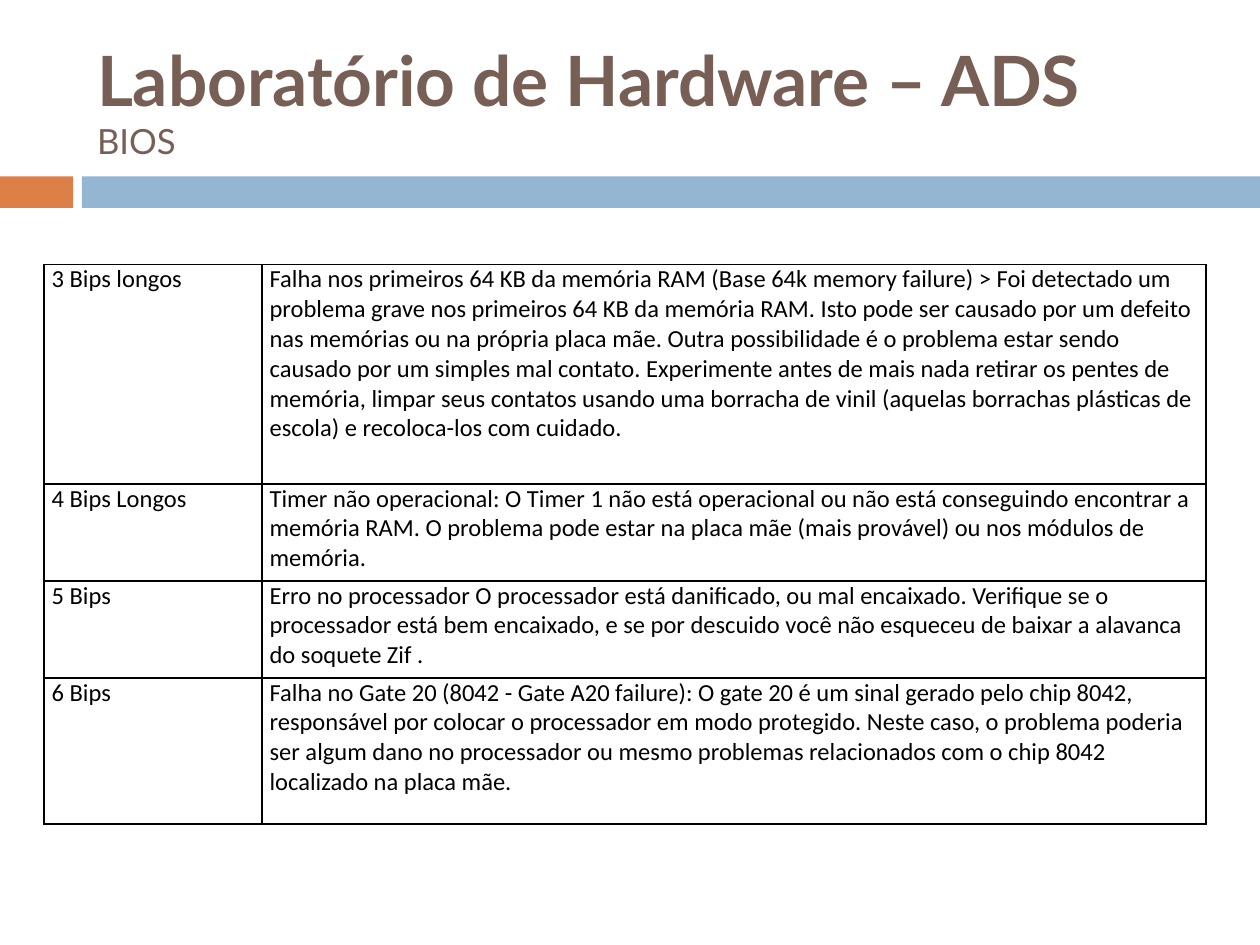
from pptx import Presentation
from pptx.dml.color import RGBColor
from pptx.enum.shapes import MSO_SHAPE
from pptx.enum.text import MSO_ANCHOR, MSO_AUTO_SIZE, PP_ALIGN
from pptx.oxml import parse_xml
from pptx.oxml.ns import nsdecls
from pptx.util import Inches, Pt

BEEPS = [
    ("3 Bips longos", "Falha nos primeiros 64 KB da memória RAM (Base 64k memory failure) > "
     "Foi detectado um problema grave nos primeiros 64 KB da memória RAM. Isto pode ser causado "
     "por um defeito nas memórias ou na própria placa mãe. Outra possibilidade é o problema estar "
     "sendo causado por um simples mal contato. Experimente antes de mais nada retirar os pentes "
     "de memória, limpar seus contatos usando uma borracha de vinil (aquelas borrachas plásticas "
     "de escola) e recoloca-los com cuidado."),
    ("4 Bips Longos", "Timer não operacional: O Timer 1 não está operacional ou não está "
     "conseguindo encontrar a memória RAM. O problema pode estar na placa mãe (mais provável) ou "
     "nos módulos de memória."),
    ("5 Bips", "Erro no processador O processador está danificado, ou mal encaixado. Verifique se "
     "o processador está bem encaixado, e se por descuido você não esqueceu de baixar a alavanca "
     "do soquete Zif ."),
    ("6 Bips", "Falha no Gate 20 (8042 - Gate A20 failure): O gate 20 é um sinal gerado pelo chip "
     "8042, responsável por colocar o processador em modo protegido. Neste caso, o problema "
     "poderia ser algum dano no processador ou mesmo problemas relacionados com o chip 8042 "
     "localizado na placa mãe."),
]


def rgb(value):
    return RGBColor.from_string(value)


def add_text(p, text, size=14, font="Calibri", color="000000", bold=False):
    r = p.add_run()
    r.text = text
    r.font.size = Pt(size)
    r.font.name = font
    r.font.bold = bold
    r.font.color.rgb = rgb(color)


def add_title(s, box, heading, topic):
    sp = s.shapes.title
    sp.left, sp.top, sp.width, sp.height = map(Inches, box)
    tf = sp.text_frame
    tf.word_wrap = True
    tf.auto_size = MSO_AUTO_SIZE.NONE
    tf.vertical_anchor = MSO_ANCHOR.MIDDLE
    p = tf.paragraphs[0]
    p.alignment = PP_ALIGN.LEFT
    add_text(p, heading, size=39.6, font="Lato", color="775F55", bold=True)
    p.add_line_break()
    add_text(p, topic, size=19.8, font="Lato", color="775F55")


def add_band(s, box, split=0.58, gap=0.07):
    left, top, width, height = box
    start = split + gap
    for x, w, color in ((left, split, "DD8047"), (left + start, width - start, "94B6D2")):
        sp = s.shapes.add_shape(MSO_SHAPE.RECTANGLE, *map(Inches, (x, top, w, height)))
        sp.shadow.inherit = False
        sp.fill.solid()
        sp.fill.fore_color.rgb = rgb(color)
        sp.line.fill.background()


def add_borders(cell, color="000000", width=1):
    tc_pr = cell._tc.get_or_add_tcPr()
    for i, side in enumerate(("lnL", "lnR", "lnT", "lnB")):
        tc_pr.insert(i, parse_xml(
            f'<a:{side} {nsdecls("a")} w="{Pt(width)}"><a:solidFill>'
            f'<a:srgbClr val="{color}"/></a:solidFill></a:{side}>'))


def add_beep_table(s, box, columns, heights, rows):
    table = s.shapes.add_table(len(rows), len(columns), *map(Inches, box)).table
    table.first_row = table.horz_banding = False
    for column, width in zip(table.columns, columns):
        column.width = Inches(width)
    for row, height, texts in zip(table.rows, heights, rows):
        row.height = Inches(height)
        for cell, text in zip(row.cells, texts):
            cell.margin_left = cell.margin_right = Inches(0.06)
            cell.margin_top = cell.margin_bottom = 0
            cell.fill.background()
            add_borders(cell)
            add_text(cell.text_frame.paragraphs[0], text)


def main():
    prs = Presentation()
    prs.slide_width, prs.slide_height = Inches(10), Inches(7.5)
    s = prs.slides.add_slide(prs.slide_layouts[5])
    add_band(s, (0, 1.4, 10, 0.25))
    add_title(s, (0.67, 0.25, 8.92, 1.08), "Laboratório de Hardware – ADS", "BIOS")
    add_beep_table(s, (0.35, 2.1, 9.21, 4.44), (1.73, 7.49), (1.74, 0.77, 0.77, 1.16), BEEPS)
    prs.save("out.pptx")


if __name__ == "__main__":
    main()
